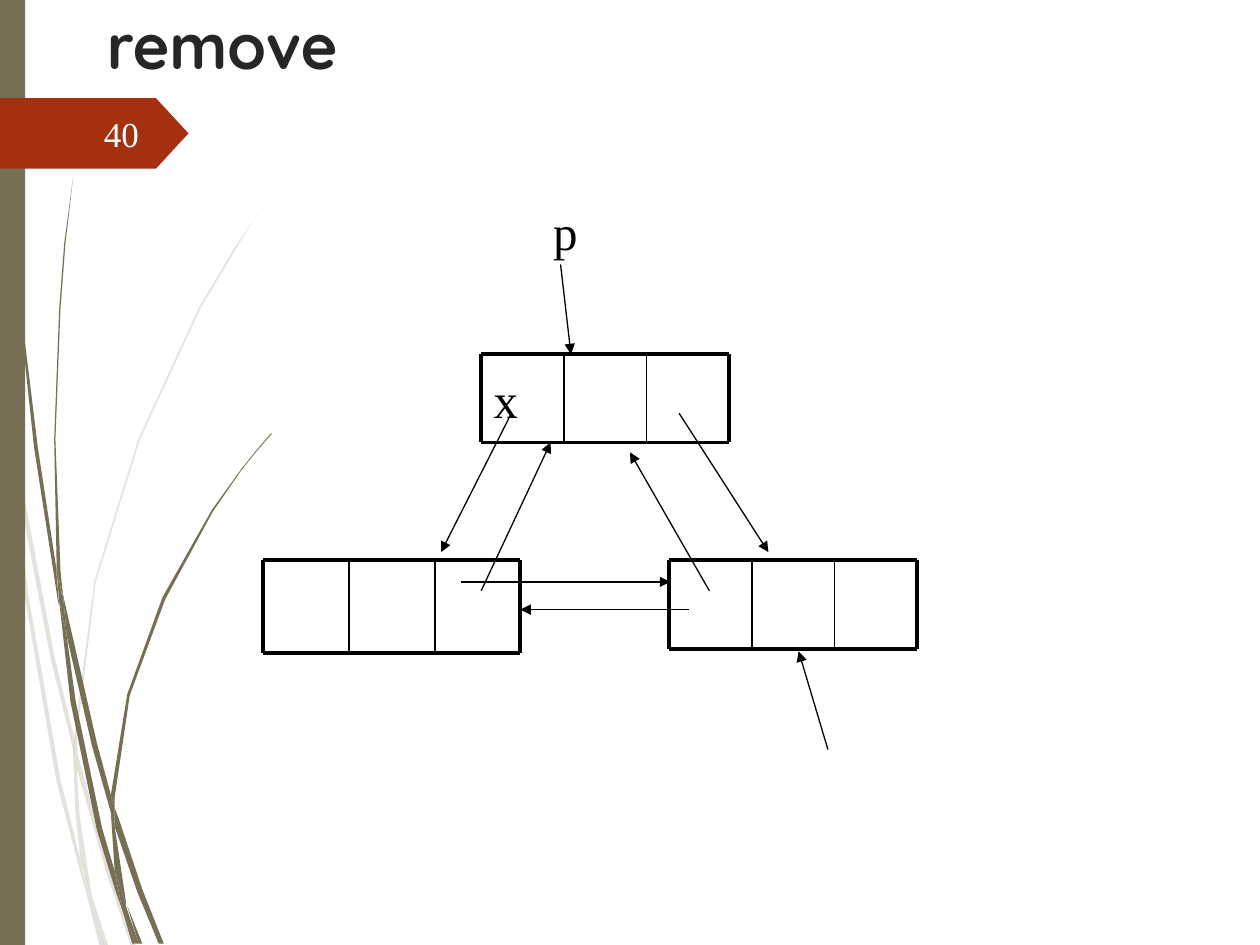
from lxml.etree import SubElement
from pptx import Presentation
from pptx.dml.color import RGBColor
from pptx.enum.shapes import MSO_CONNECTOR as LineKind, MSO_SHAPE as Shape
from pptx.enum.text import MSO_ANCHOR as Anchor, MSO_AUTO_SIZE as AutoSize, PP_ALIGN as Align
from pptx.oxml.ns import qn
from pptx.util import Cm, Pt

OLIVE, RED, BLACK = "766F54", "A53010", "000000"
SERIF = "Times New Roman"

# Outlines of the grass blades, in hundredths of an inch from the slide corner
PALE_BLADES = [
    "8,350 6,322 0,282 0,299 7,344",
    "40,522 59,599 59,586 43,520 10,345 12,376",
    "64,607 61,596 61,610 85,694 104,751 108,751 88,692",
    "83,751 86,751 73,711",
    "64,683 48,619 22,469 12,376 8,350 19,470 45,621 64,693 70,714 69,707",
    "58,599 60,646 64,683 67,692 73,711 72,706 63,646 61,610 61,608",
    "61,584 76,462 111,349 159,245 187,198 201,175 217,153 "
    "201,175 186,197 158,244 110,348 75,461 59,584 59,586 61,596",
    "70,714 79,751 82,751",
    "61,608 61,610 61,596 59,586 58,599",
    "67,692 65,683 69,707 70,714 82,751 83,751 73,711",
]
DARK_BLADES = [
    "5,110 14,233 27,355 46,477 47,481 45,457 45,453 30,355 15,232 6,109 4,48 3,0 2,0 3,48",
    "73,592 88,645 88,633 88,631 77,590 50,472 53,505",
    "94,649 91,641 91,656 109,708 126,749 130,749 113,706",
    "91,691 81,657 60,556 53,505 47,477 56,557 77,659 92,708 97,722 96,717",
    "50,472 48,453 44,349 48,245 52,193 58,141 51,193 47,245 43,349 45,449 49,471",
    "110,749 113,749 101,719",
    "47,477 53,505 50,472 49,472 45,449 45,453",
    "91,633 103,552 131,476 169,406 191,374 203,359 216,344 "
    "215,344 203,358 191,373 168,405 129,474 101,551 88,631 91,641",
    "97,722 105,749 108,749",
    "88,645 91,691 96,706 100,719 100,716 91,656 90,651",
    "88,645 90,651 91,656 91,641 88,631 88,633",
    "96,706 91,691 96,717 97,722 108,749 110,749 100,719",
]


def rgb(hex_color):
    return RGBColor.from_string(hex_color)


def paint(shape, color, opacity=100):
    """Fill a shape with one colour, without outline or shadow."""
    shape.shadow.inherit = False
    shape.line.fill.background()
    shape.fill.solid()
    shape.fill.fore_color.rgb = rgb(color)
    if opacity < 100:
        color_tag = next(shape.fill._xPr.iter(qn("a:srgbClr")))
        SubElement(color_tag, qn("a:alpha"), val=str(opacity * 1000))


def add_blades(slide, left, top, outlines, opacity=100):
    tuft = slide.shapes.add_group_shape()
    for outline in outlines:
        start, *rest = [tuple(map(int, point.split(","))) for point in outline.split()]
        builder = tuft.shapes.build_freeform(*start, scale=Cm(2.54) / 100)
        builder.add_line_segments(rest, close=True)
        paint(builder.convert_to_shape(left, top), OLIVE, opacity)


def add_text(slide, left, top, width, height, text, size, color, align=Align.LEFT):
    box = slide.shapes.add_textbox(Cm(left), Cm(top), Cm(width), Cm(height))
    frame = box.text_frame
    frame.word_wrap = True
    frame.vertical_anchor = Anchor.MIDDLE
    paragraph = frame.paragraphs[0]
    paragraph.text = text
    paragraph.alignment = align
    font = paragraph.font
    font.name, font.size, font.color.rgb = SERIF, Pt(size), rgb(color)


def add_page_badge(slide, left, top, width, height, number):
    badge = slide.shapes.add_shape(Shape.PENTAGON, Cm(left), Cm(top), Cm(width), Cm(height))
    badge.adjustments[0] = 0.46
    paint(badge, RED)
    add_text(slide, left + 1.42, top + 0.2, 1.63, 1.02, number, 20, "FEFFFF", Align.RIGHT)


def add_line(slide, start, end, weight, arrow=False):
    line = slide.shapes.add_connector(LineKind.STRAIGHT, *map(Cm, start + end))
    line.line.color.rgb = rgb(BLACK)
    line.line.width = Pt(weight)
    if arrow:
        SubElement(line.line._get_or_add_ln(), qn("a:tailEnd"), type="triangle")
    SubElement(line._element.spPr, qn("a:effectLst"))


def add_list_node(slide, left, top, width, height, cells=3):
    right, bottom = left + width, top + height
    for y in (top, bottom):
        add_line(slide, (left, y), (right, y), 2.25)
    for i in range(cells + 1):
        x = left + width * i / cells
        add_line(slide, (x, top), (x, bottom), 2.25 if i in (0, cells) else 1)


def add_title(slide, left, top, width, height, text):
    title = slide.shapes.title
    title.left, title.top, title.width, title.height = map(Cm, (left, top, width, height))
    frame = title.text_frame
    frame.auto_size = AutoSize.NONE
    frame.vertical_anchor = Anchor.TOP
    paragraph = frame.paragraphs[0]
    paragraph.text = text
    paragraph.alignment = Align.LEFT
    font = paragraph.font
    font.name, font.size, font.bold, font.color.rgb = "Quicksand", Pt(36), True, rgb("262626")


def add_linked_list(slide):
    """Draw three nodes, the pointers between them and the labels."""
    for node in [(5.31, 11.28, 5.18, 1.88), (13.49, 11.28, 5, 1.8), (9.7, 7.14, 5, 1.78)]:
        add_list_node(slide, *node)
    pointers = [
        ((9.3, 11.73), (13.51, 11.73)),
        ((13.89, 12.29), (10.49, 12.29)),
        ((9.7, 11.91), (11.1, 8.92)),
        ((10.31, 8.33), (8.89, 11.13)),
        ((13.69, 8.33), (15.49, 11.13)),
        ((14.3, 11.91), (12.7, 9.12)),
        ((11.3, 5.33), (11.51, 7.14)),
        ((16.69, 15.11), (16.1, 13.13)),
    ]
    for start, end in pointers:
        add_line(slide, start, end, 0.75, arrow=True)
    add_text(slide, 9.7, 7.32, 1.6, 1.45, "x", 28, BLACK)
    add_text(slide, 10.9, 3.94, 2.21, 1.45, "p", 28, BLACK)


def main():
    prs = Presentation()
    prs.slide_width, prs.slide_height = Cm(25.4), Cm(19.05)
    slide = prs.slides.add_slide(prs.slide_layouts[5])
    add_blades(slide, 0, 0, PALE_BLADES, opacity=20)
    add_blades(slide, 0, 0, DARK_BLADES)
    side_bar = slide.shapes.add_shape(Shape.RECTANGLE, 0, 0, Cm(0.51), prs.slide_height)
    paint(side_bar, OLIVE)
    add_page_badge(slide, 0, 1.98, 3.8, 1.42, "40")
    add_title(slide, 1.9, 0, 21.59, 3.18, "remove")
    add_linked_list(slide)
    prs.save("out.pptx")


if __name__ == "__main__":
    main()
